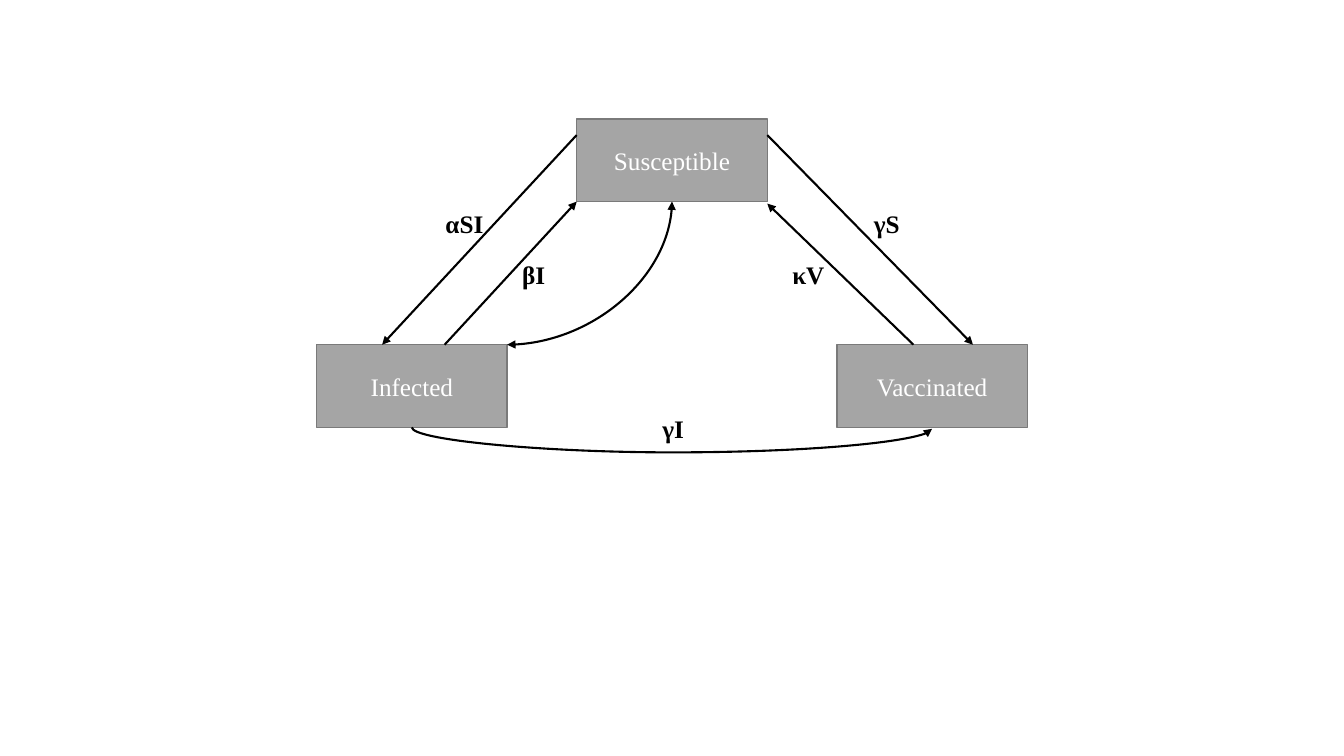
import dataclasses

import pptx
import pptx.dml.color
import pptx.enum.shapes
import pptx.enum.text
import pptx.oxml
import pptx.oxml.ns
import pptx.util


@dataclasses.dataclass(frozen=True)
class Theme:
    font: str = "Times New Roman"
    text_size: float = 18
    box_fill: str = "A5A5A5"
    box_line: str = "7A7A7A"
    box_text: str = "FFFFFF"
    ink: str = "000000"
    box_line_width: float = 1
    arrow_width: float = 1.5


def rgb(value):
    return pptx.dml.color.RGBColor.from_string(value)


class Diagram:
    """Draws on a grid whose columns and rows are a tenth of an inch."""

    step = 0.1

    def __init__(self, slide, theme):
        self.slide = slide
        self.theme = theme

    def grid(self, *cells):
        return [pptx.util.Inches(cell * self.step) for cell in cells]

    def style_text(self, paragraph, color, bold=False):
        font = paragraph.font
        font.name = self.theme.font
        font.size = pptx.util.Pt(self.theme.text_size)
        font.bold = bold
        font.color.rgb = rgb(color)

    def box(self, text, left, top, width, height):
        shape = self.slide.shapes.add_shape(
            pptx.enum.shapes.MSO_SHAPE.FLOWCHART_PROCESS,
            *self.grid(left, top, width, height))
        shape.shadow.inherit = False
        shape.fill.solid()
        shape.fill.fore_color.rgb = rgb(self.theme.box_fill)
        shape.line.color.rgb = rgb(self.theme.box_line)
        shape.line.width = pptx.util.Pt(self.theme.box_line_width)
        frame = shape.text_frame
        frame.text = text
        frame.vertical_anchor = pptx.enum.text.MSO_ANCHOR.MIDDLE
        paragraph = frame.paragraphs[0]
        paragraph.alignment = pptx.enum.text.PP_ALIGN.CENTER
        self.style_text(paragraph, self.theme.box_text)

    def label(self, text, left, top, width, wrap=False):
        shape = self.slide.shapes.add_textbox(*self.grid(left, top, width, 4))
        frame = shape.text_frame
        frame.text = text
        frame.word_wrap = wrap
        frame.auto_size = pptx.enum.text.MSO_AUTO_SIZE.SHAPE_TO_FIT_TEXT
        self.style_text(frame.paragraphs[0], self.theme.ink, bold=True)

    def arrow(self, start, end, kind="STRAIGHT", both_ends=False):
        connector = self.slide.shapes.add_connector(
            pptx.enum.shapes.MSO_CONNECTOR[kind], *self.grid(*start, *end))
        connector.line.color.rgb = rgb(self.theme.ink)
        connector.line.width = pptx.util.Pt(self.theme.arrow_width)
        line = connector.line._get_or_add_ln()
        for tag in (["a:headEnd"] if both_ends else []) + ["a:tailEnd"]:
            line.append(pptx.oxml.parse_xml(
                f'<{tag} {pptx.oxml.ns.nsdecls("a")} type="triangle"/>'))
        connector._element.spPr.append(pptx.oxml.parse_xml(
            f'<a:effectLst {pptx.oxml.ns.nsdecls("a")}/>'))
        return connector

    def quarter_arrow(self, start, end):
        """Curve that leaves sideways and arrives upright, with two heads."""
        connector = self.arrow(start, end, "CURVE", both_ends=True)
        connector._element.spPr.prstGeom.set("prst", "curvedConnector2")

    def sagging_arrow(self, start, end, sag):
        """Curve between two bottom sides that hangs below both."""
        span, drop = end[0] - start[0], end[1] - start[1]
        middle_x, middle_y = (start[0] + end[0]) / 2, (start[1] + end[1]) / 2
        # The frame stands upright and is turned, so the curve leaves downwards
        connector = self.arrow(
            (middle_x + drop / 2, middle_y - span / 2),
            (middle_x - drop / 2, middle_y + span / 2), "CURVE")
        properties = connector._element.spPr
        properties.xfrm.set("rot", str(270 * 60000))
        guides = properties.prstGeom.get_or_add_avLst()
        guides.append(pptx.oxml.parse_xml(
            f'<a:gd {pptx.oxml.ns.nsdecls("a")} name="adj1" '
            f'fmla="val {round(sag / drop * 100000)}"/>'))


def main():
    presentation = pptx.Presentation()
    presentation.slide_width = pptx.util.Inches(13.33)
    presentation.slide_height = pptx.util.Inches(7.5)
    slide = presentation.slides.add_slide(presentation.slide_layouts[6])
    diagram = Diagram(slide, Theme())

    # Grid positions of the three compartments
    width, height = 18.9, 8.2
    infected, susceptible, vaccinated = (31.4 + 25.8 * i for i in range(3))
    upper, lower = 11.8, 34.2
    upper_bottom = upper + height
    right = susceptible + width
    middle = width / 2

    # Compartments
    for text, left, top in (("Vaccinated", vaccinated, lower),
                            ("Susceptible", susceptible, upper),
                            ("Infected", infected, lower)):
        diagram.box(text, left, top, width, height)

    # Straight flows
    for start, end in (
            ((44.1, lower), (susceptible, upper_bottom)),
            ((susceptible, 13.4), (37.9, lower)),
            ((90.6, lower), (right, upper_bottom + 0.2)),
            ((right, 13.4), (96.5, lower))):
        diagram.arrow(start, end)

    # Curved flows
    diagram.quarter_arrow((infected + width, lower),
                          (susceptible + middle, upper_bottom))
    diagram.sagging_arrow((infected + middle, lower + height),
                          (vaccinated + middle, lower + height + 0.14), 2.45)

    # Rates
    diagram.label("γI", 64.7, 40.5, 4.2)
    diagram.label("κV", 77.6, 25.2, 5.7, wrap=True)
    diagram.label("αSI", 43.2, 20.2, 5.8)
    diagram.label("γS", 85.7, 20.2, 4.6)
    diagram.label("βI", 50.8, 25.2, 4.3)

    presentation.save("out.pptx")


if __name__ == "__main__":
    main()
